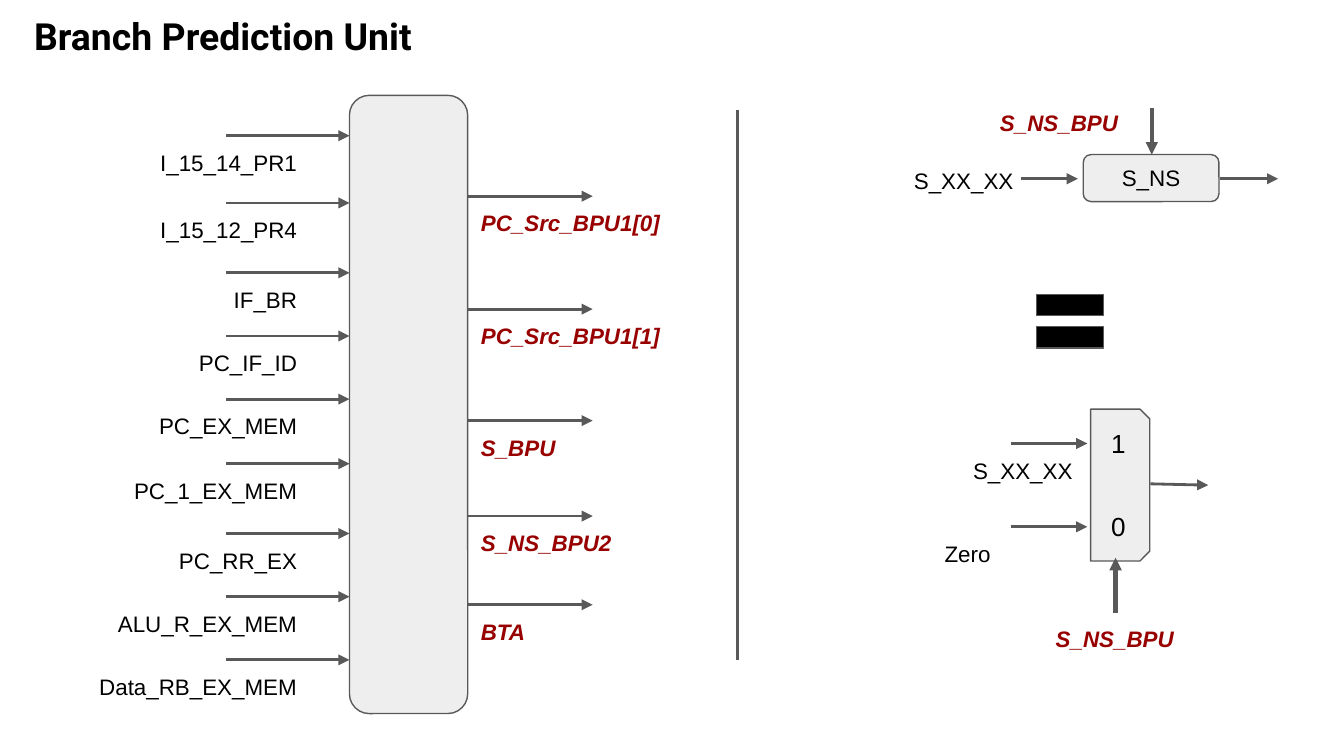
from lxml import etree
from pptx import Presentation
from pptx.dml.color import RGBColor
from pptx.enum.shapes import MSO_CONNECTOR as Link, MSO_SHAPE as Kind
from pptx.enum.text import MSO_ANCHOR as Anchor, MSO_AUTO_SIZE as Fit, PP_ALIGN as Align
from pptx.oxml.ns import qn
from pptx.util import Inches, Pt

BLACK = RGBColor(0x00, 0x00, 0x00)
GRAY = RGBColor(0x59, 0x59, 0x59)
PALE = RGBColor(0xEE, 0xEE, 0xEE)
RED = RGBColor(0x98, 0x00, 0x00)

# Signals into the unit: arrow height, name, label width
INPUTS = [
    (1.01, "I_15_14_PR1", 1.46),
    (1.51, "I_15_12_PR4", 1.35),
    (2.03, "IF_BR", 1.34),
    (2.5, "PC_IF_ID", 1.16),
    (2.97, "PC_EX_MEM", 2.2),
    (3.45, "PC_1_EX_MEM", 1.56),
    (3.97, "PC_RR_EX", 1.34),
    (4.44, "ALU_R_EX_MEM", 1.56),
    (4.91, "Data_RB_EX_MEM", 2.2),
]
# Signals out of the unit: arrow height, name, label width
OUTPUTS = [
    (1.46, "PC_Src_BPU1[0]", 1.66),
    (2.3, "PC_Src_BPU1[1]", 1.66),
    (3.13, "S_BPU", 1.34),
    (3.84, "S_NS_BPU2", 1.34),
    (4.5, "BTA", 1.34),
]


def write(shape, text, size=12, color=BLACK, font="Arial", bold=False,
          italic=False, align=Align.LEFT, anchor=Anchor.TOP):
    frame = shape.text_frame
    frame.word_wrap = True
    frame.auto_size = Fit.NONE
    frame.vertical_anchor = anchor
    frame.margin_left = frame.margin_right = Inches(0.1)
    frame.margin_top = frame.margin_bottom = Inches(0.1)
    par = frame.paragraphs[0]
    par.alignment = align
    par.line_spacing = 1.0
    par.space_before = Pt(0)
    run = par.add_run()
    run.text = text
    run.font.size = Pt(size)
    run.font.name = font
    run.font.bold = bold
    run.font.italic = italic
    run.font.color.rgb = color


def label(slide, text, x, y, w, h=0.4, **style):
    box = slide.shapes.add_textbox(Inches(x), Inches(y), Inches(w), Inches(h))
    write(box, text, **style)


def signal(slide, text, x, y, w, h=0.4, align=Align.LEFT):
    label(slide, text, x, y, w, h, color=RED, bold=True, italic=True, align=align)


def block(slide, kind, x, y, w, h, fill=PALE, adjust=()):
    shape = slide.shapes.add_shape(kind, Inches(x), Inches(y), Inches(w), Inches(h))
    shape.shadow.inherit = False
    shape.fill.solid()
    shape.fill.fore_color.rgb = fill
    shape.line.color.rgb = GRAY
    shape.line.width = Pt(0.75)
    for i, value in enumerate(adjust):
        shape.adjustments[i] = value
    return shape


def line(slide, x1, y1, x2, y2, width=1.5, arrow=True):
    link = slide.shapes.add_connector(
        Link.STRAIGHT, Inches(x1), Inches(y1), Inches(x2), Inches(y2))
    link.line.color.rgb = GRAY
    link.line.width = Pt(width)
    props = link._element.spPr
    if arrow:
        etree.SubElement(props.find(qn("a:ln")), qn("a:tailEnd"), type="triangle")
    etree.SubElement(props, qn("a:effectLst"))


def title(slide, text):
    head = slide.shapes.title
    head.left, head.top = Inches(0), Inches(0)
    head.width, head.height = Inches(3.32), Inches(0.54)
    write(head, text, size=20, font="Roboto", bold=True, align=Align.CENTER)


def unit(slide):
    block(slide, Kind.ROUNDED_RECTANGLE, 2.6, 0.71, 0.88, 4.6, adjust=[0.167])
    for y, name, w in INPUTS:
        line(slide, 1.68, y, 2.6, y)
        label(slide, name, 2.31 - w, y, w, align=Align.RIGHT)
    for y, name, w in OUTPUTS:
        line(slide, 3.48, y, 4.41, y)
        signal(slide, name, 3.48, y, w)


def gate(slide):
    box = block(slide, Kind.ROUNDED_RECTANGLE, 8.06, 1.15, 1.01, 0.35, adjust=[0.167])
    write(box, "S_NS", align=Align.CENTER, anchor=Anchor.MIDDLE)
    line(slide, 7.6, 1.33, 8.02, 1.33)
    line(slide, 9.08, 1.33, 9.51, 1.33)
    line(slide, 8.57, 0.8, 8.57, 1.15, width=2.25)
    label(slide, "S_XX_XX", 6.4, 1.14, 1.24, align=Align.RIGHT)
    signal(slide, "S_NS_BPU", 7.22, 0.71, 1.32, align=Align.CENTER)


def mux(slide):
    box = block(slide, Kind.SNIP_2_SAME_RECTANGLE, 7.77, 3.39, 1.13, 0.44,
                adjust=[0.167, 0])
    box.rotation = 90
    for digit, y in (("1", 3.3), ("0", 3.92)):
        line(slide, 7.52, y, 8.09, y)
        label(slide, digit, 8.17, y - 0.22, 0.26, 0.44, size=14)
    label(slide, "S_XX_XX", 6.92, 3.3, 1.16, align=Align.RIGHT)
    label(slide, "Zero", 6.93, 3.92, 1.24)
    line(slide, 8.56, 3.6, 8.99, 3.61)
    line(slide, 8.3, 4.56, 8.3, 4.15, width=2.25)
    signal(slide, "S_NS_BPU", 7.62, 4.55, 1.35, 0.61, align=Align.CENTER)


def main():
    # Wide 16:9 page
    deck = Presentation()
    deck.slide_width, deck.slide_height = Inches(10), Inches(10 * 9 / 16)
    slide = deck.slides.add_slide(deck.slide_layouts[5])
    title(slide, "Branch Prediction Unit")

    # Left: the unit with its signals
    unit(slide)
    line(slide, 5.49, 0.82, 5.49, 4.91, arrow=False)

    # Right: the gate equals a multiplexer
    gate(slide)
    block(slide, Kind.MATH_EQUAL, 7.62, 2.05, 0.68, 0.68, fill=BLACK,
          adjust=[0.235, 0.118])
    mux(slide)
    deck.save("out.pptx")


if __name__ == "__main__":
    main()
